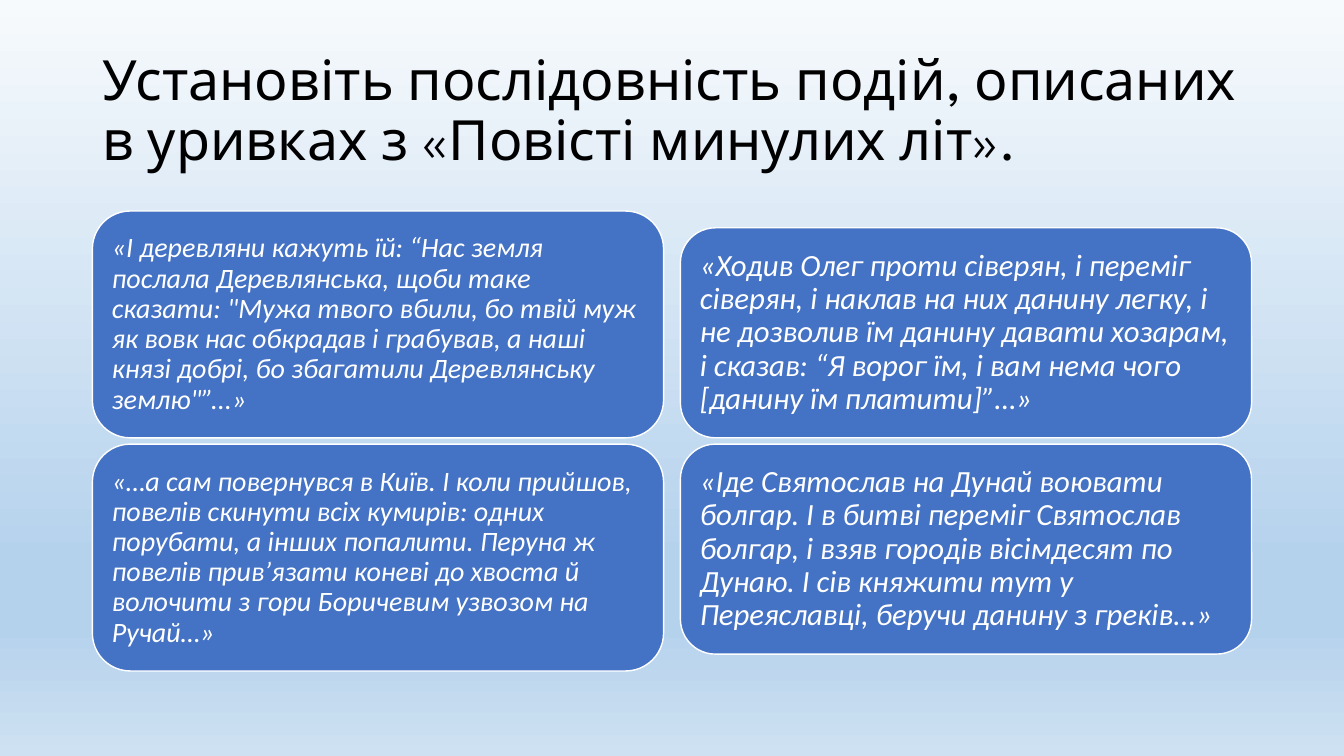
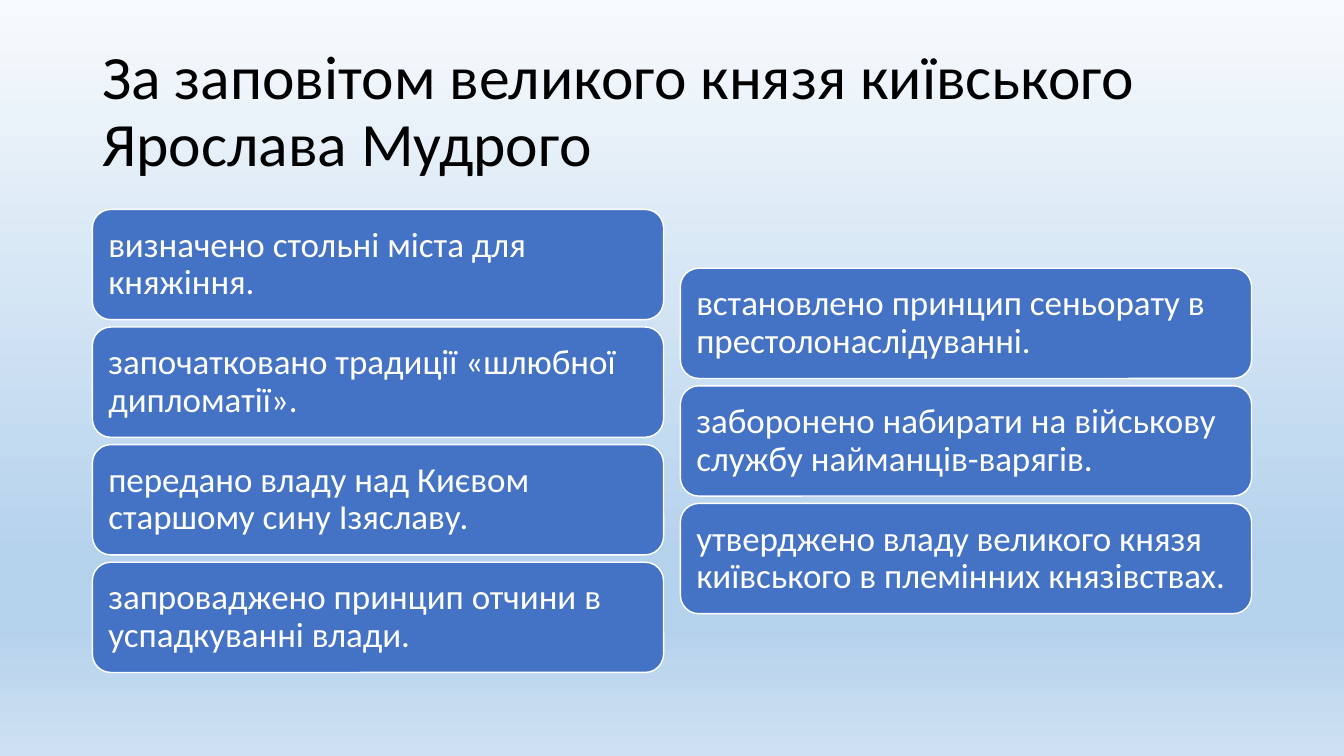
from copy import deepcopy

from pptx import Presentation
from pptx.dml.color import RGBColor
from pptx.enum.shapes import MSO_SHAPE as Shape
from pptx.enum.text import MSO_ANCHOR as Anchor, PP_ALIGN as Align
from pptx.oxml.ns import qn
from pptx.util import Pt

PX = 9525
BLACK = RGBColor(0x00, 0x00, 0x00)
WHITE = RGBColor(0xFF, 0xFF, 0xFF)
BLUE = RGBColor(0x44, 0x72, 0xC4)
SKY = RGBColor(0xB5, 0xD2, 0xEC)
BACKGROUND = [
    (0, RGBColor(0xF7, 0xFA, 0xFD)),
    (0.74, SKY),
    (0.83, SKY),
    (1, RGBColor(0xCE, 0xE1, 0xF2)),
]
BODY_FONT = "Calibri"
TITLE_FONT = "League Spartan"
TITLE_BOX = (88, 38, 1104, 139)
COLUMN_LEFTS = (88, 648)
COLUMN_WIDTH = 544
COLUMN_MIDDLE = 420

DEREVLIANS = (
    "«І деревляни кажуть їй: “Нас земля послала Деревлянська, щоби таке сказати: "
    "\"Мужа твого вбили, бо твій муж як вовк нас обкрадав і грабував, а наші князі "
    "добрі, бо збагатили Деревлянську землю\"”...»"
)
IDOLS = (
    "«…а сам повернувся в Київ. І коли прийшов, повелів скинути всіх кумирів: "
    "одних порубати, а інших попалити. Перуна ж повелів прив’язати коневі до хвоста "
    "й волочити з гори Боричевим узвозом на Ручай…»"
)
OLEH = (
    "«Ходив Олег проти сіверян, і переміг сіверян, і наклав на них данину легку, "
    "і не дозволив їм данину давати хозарам, і сказав: “Я ворог їм, і вам нема чого "
    "[данину їм платити]”…»"
)
SVIATOSLAV = (
    "«Іде Святослав на Дунай воювати болгар. І в битві переміг Святослав болгар, "
    "і взяв городів вісімдесят по Дунаю. І сів княжити тут у Переяславці, беручи "
    "данину з греків...»"
)
TESTAMENT = [
    [
        "визначено стольні міста для княжіння.",
        "започатковано традиції «шлюбної дипломатії».",
        "передано владу над Києвом старшому сину Ізяславу.",
        "запроваджено принцип отчини в успадкуванні влади.",
    ],
    [
        "встановлено принцип сеньорату в престолонаслідуванні.",
        "заборонено набирати на військову службу найманців-варягів.",
        "утверджено владу великого князя київського в племінних князівствах.",
    ],
]


def scale(*lengths):
    return [round(length * PX) for length in lengths]


def paint_background(master):
    fill = master.background.fill
    fill.gradient()
    fill.gradient_angle = 270
    stop_list = master.element.find(".//" + qn("a:gsLst"))
    while len(stop_list) < len(BACKGROUND):
        stop_list.append(deepcopy(stop_list[0]))
    for stop, (position, color) in zip(fill.gradient_stops, BACKGROUND):
        stop.position = position
        stop.color.rgb = color


def write(shape, text, size, color, font=BODY_FONT, italic=False):
    frame = shape.text_frame
    frame.text = text
    frame.word_wrap = True
    frame.vertical_anchor = Anchor.MIDDLE
    para = frame.paragraphs[0]
    para.alignment = Align.LEFT
    para.line_spacing = 0.9
    for span in para.runs:
        span.font.name = font
        span.font.size = Pt(size)
        span.font.italic = italic
        span.font.color.rgb = color
    return frame


def add_title(page, text, size, font=BODY_FONT):
    box = page.shapes.add_textbox(*scale(*TITLE_BOX))
    write(box, text, size, BLACK, font)


def add_card(page, text, left, top, height, size, italic):
    card = page.shapes.add_shape(
        Shape.ROUNDED_RECTANGLE, *scale(left, top, COLUMN_WIDTH, height)
    )
    card.shadow.inherit = False
    card.fill.solid()
    card.fill.fore_color.rgb = BLUE
    card.line.color.rgb = WHITE
    card.line.width = Pt(1)
    frame = write(card, text, size, WHITE, italic=italic)
    inset = Pt(size * 0.3)
    frame.margin_left = frame.margin_right = inset
    frame.margin_top = frame.margin_bottom = inset


def add_column(page, texts, left, height, gap, size, italic=False):
    pitch = height + gap
    first_top = COLUMN_MIDDLE - (len(texts) * pitch - gap) / 2
    for index, text in enumerate(texts):
        add_card(page, text, left, first_top + index * pitch, height, size, italic)


def add_chronicle_page(deck):
    page = deck.slides.add_slide(deck.slide_layouts[6])
    add_title(
        page,
        "Установіть послідовність подій, описаних в уривках з «Повісті минулих літ».",
        39.6,
        TITLE_FONT,
    )
    left, right = COLUMN_LEFTS
    add_column(page, [DEREVLIANS, IDOLS], left, 216, 6, 20, italic=True)
    add_column(page, [OLEH, SVIATOSLAV], right, 200, 6, 22, italic=True)


def add_testament_page(deck):
    page = deck.slides.add_slide(deck.slide_layouts[6])
    add_title(page, "За заповітом великого князя київського Ярослава Мудрого", 44)
    for left, texts in zip(COLUMN_LEFTS, TESTAMENT):
        add_column(page, texts, left, 105, 7, 25)


def main():
    deck = Presentation()
    deck.slide_width, deck.slide_height = scale(1280, 720)
    paint_background(deck.slide_master)
    add_chronicle_page(deck)
    add_testament_page(deck)
    deck.save("out.pptx")


if __name__ == "__main__":
    main()
